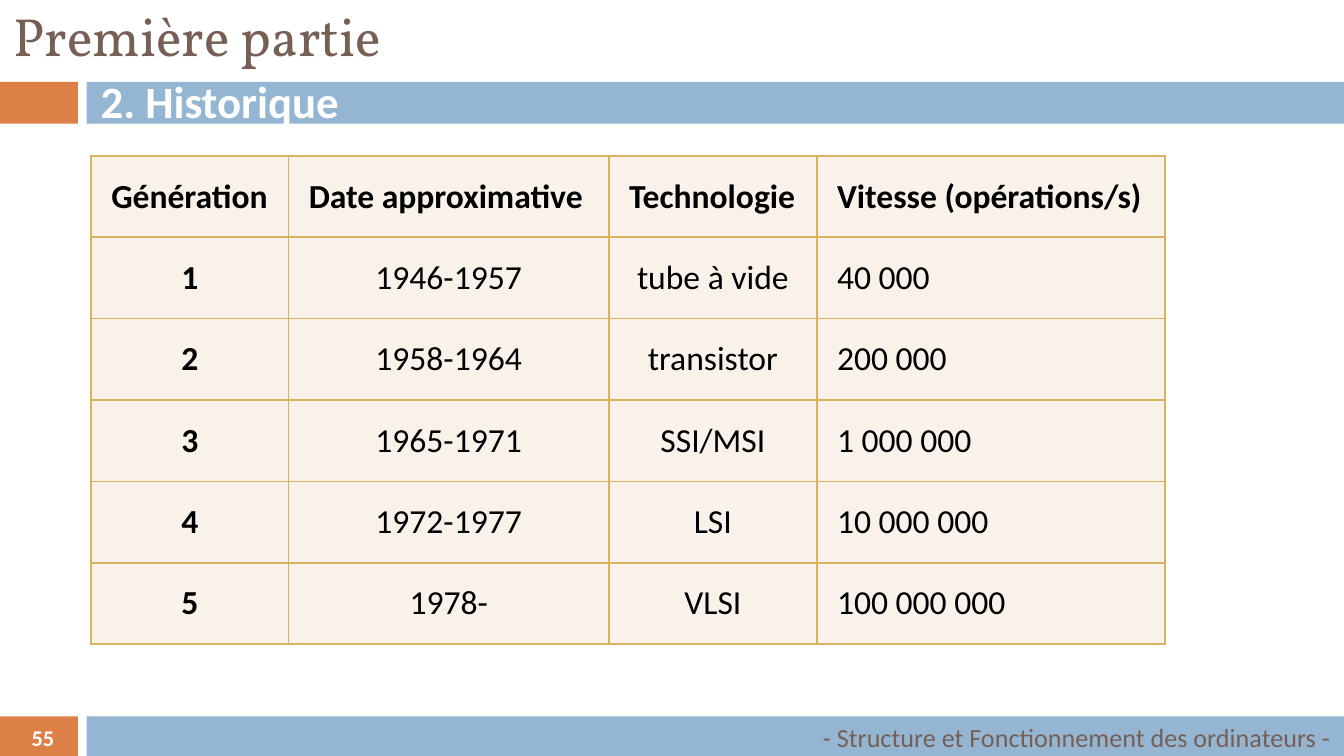
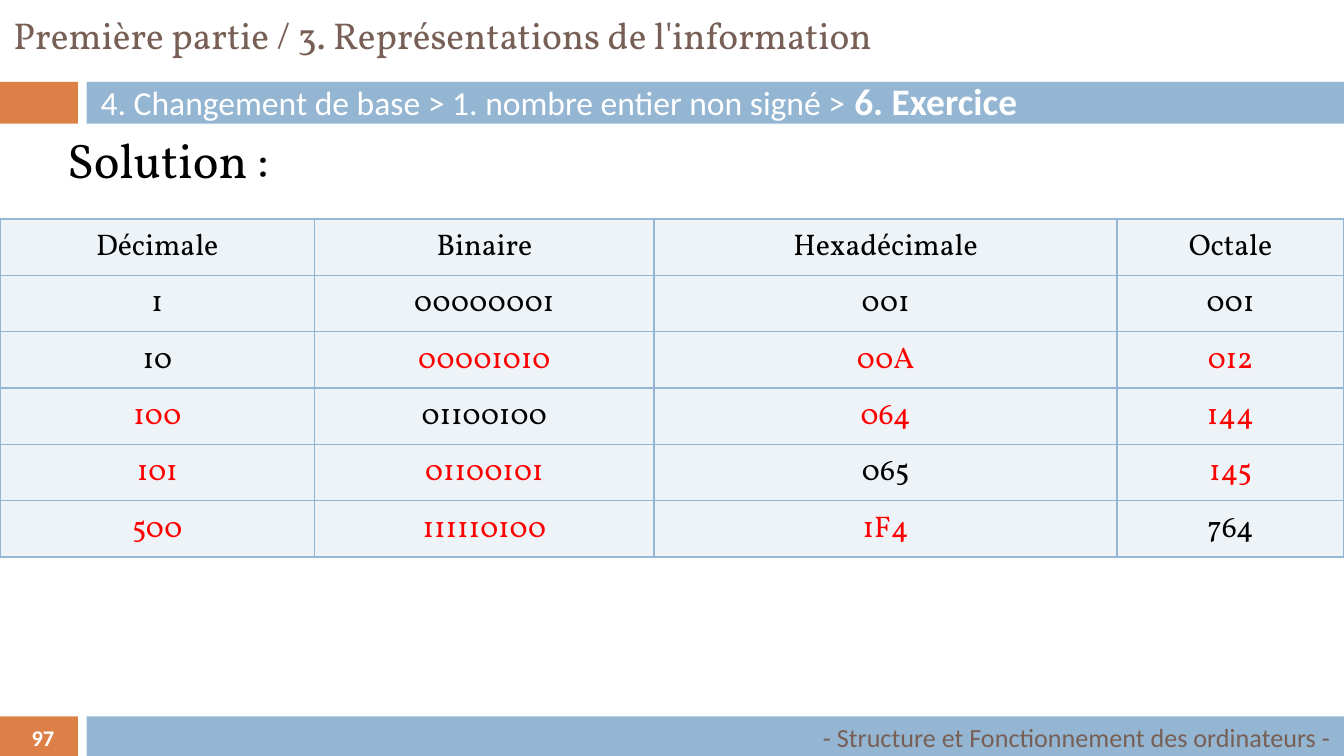
from lxml import etree
from pptx import Presentation
from pptx.dml.color import RGBColor
from pptx.enum import shapes, text
from pptx.oxml import ns
from pptx.util import Pt

COLORS = {"orange": "DD8047", "blue": "94B6D2", "brown": "775F55",
          "white": "FFFFFF", "black": "000000", "red": "FF0000",
          "gold": "D8B25C", "cream": "F8F2EA", "pale": "EEF3F7"}
SANS, SERIF = "Calibri", "Vollkorn"
LEFT, CENTER, RIGHT = text.PP_ALIGN.LEFT, text.PP_ALIGN.CENTER, text.PP_ALIGN.RIGHT
MIDDLE, TOP = text.MSO_ANCHOR.MIDDLE, text.MSO_ANCHOR.TOP

WIDTH, HEIGHT = 720, 405
BAND_TOPS = (43.9, 383.8)
BAND_HEIGHT = 22.4
FOOTER = "- Structure et Fonctionnement des ordinateurs -"

GENERATIONS = [
    ("Génération", "Date approximative", "Technologie", "Vitesse (opérations/s)"),
    ("1", "1946-1957", "tube à vide", "40 000"),
    ("2", "1958-1964", "transistor", "200 000"),
    ("3", "1965-1971", "SSI/MSI", "1 000 000"),
    ("4", "1972-1977", "LSI", "10 000 000"),
    ("5", "1978-", "VLSI", "100 000 000"),
]
CONVERSIONS = [
    ("Décimale", "Binaire", "Hexadécimale", "Octale"),
    ("1", "00000001", "001", "001"),
    ("10", "00001010", "00A", "012"),
    ("100", "01100100", "064", "144"),
    ("101", "01100101", "065", "145"),
    ("500", "111110100", "1F4", "764"),
]


def rgb(name):
    return RGBColor.from_string(COLORS[name])


def write(tf, content, size=18, font=SANS, color="black", bold=False,
          align=LEFT, anchor=MIDDLE):
    """Fill a text frame; content is a string or a list of (string, size, bold)."""
    tf.word_wrap = True
    tf.vertical_anchor = anchor
    p = tf.paragraphs[0]
    p.alignment = align
    runs = [(content, size, bold)] if isinstance(content, str) else content
    for words, run_size, run_bold in runs:
        r = p.add_run()
        r.text = words
        r.font.name, r.font.size, r.font.bold = font, Pt(run_size), run_bold
        r.font.color.rgb = rgb(color)


def add_text(slide, box, content, **style):
    tf = slide.shapes.add_textbox(*map(Pt, box)).text_frame
    write(tf, content, **style)
    return tf


def add_band(slide, left, top, width, color):
    sp = slide.shapes.add_shape(shapes.MSO_SHAPE.RECTANGLE,
                                Pt(left), Pt(top), Pt(width), Pt(BAND_HEIGHT))
    sp.shadow.inherit = False
    sp.fill.solid()
    sp.fill.fore_color.rgb = rgb(color)
    sp.line.fill.background()


def add_slide(prs, number, title, title_size, heading):
    slide = prs.slides.add_slide(prs.slide_layouts[5])
    for top in BAND_TOPS:
        add_band(slide, 0, top, 41.8, "orange")
        add_band(slide, 46.4, top, WIDTH - 46.4, "blue")
    sp = slide.shapes.title
    sp.left, sp.top, sp.width, sp.height = map(Pt, (0, -0.7, WIDTH, 38.9))
    sp.text_frame.auto_size = text.MSO_AUTO_SIZE.NONE
    write(sp.text_frame, title, size=title_size, font=SERIF, color="brown")
    add_text(slide, (46.8, BAND_TOPS[0], 673.2, 20.2), heading, color="white")
    add_text(slide, (2.9, BAND_TOPS[1], 40.3, BAND_HEIGHT), str(number),
             size=12, color="white", bold=True, align=CENTER)
    add_text(slide, (54, BAND_TOPS[1], 666, 21.6), FOOTER,
             size=14, color="brown", align=RIGHT)
    return slide


def set_borders(cell, color):
    tc_pr = cell._tc.get_or_add_tcPr()
    for side in ("lnL", "lnR", "lnT", "lnB"):
        ln = etree.SubElement(tc_pr, ns.qn(f"a:{side}"), w=str(Pt(1)))
        fill = etree.SubElement(ln, ns.qn("a:solidFill"))
        etree.SubElement(fill, ns.qn("a:srgbClr"), val=COLORS[color])


def add_grid(slide, left, top, widths, row_height, rows, margins, border, fill, style):
    """Add a table; style(i, j) gives the text format of the cell at row i, column j."""
    frame = slide.shapes.add_table(len(rows), len(widths), Pt(left), Pt(top),
                                   Pt(sum(widths)), Pt(row_height * len(rows)))
    table = frame.table
    table.first_row = table.horz_banding = False
    for column, width in zip(table.columns, widths):
        column.width = Pt(width)
    for i, row in enumerate(rows):
        table.rows[i].height = Pt(row_height)
        for j, words in enumerate(row):
            cell = table.cell(i, j)
            (cell.margin_left, cell.margin_top,
             cell.margin_right, cell.margin_bottom) = map(Pt, margins)
            cell.vertical_anchor = MIDDLE
            set_borders(cell, border)
            cell.fill.solid()
            cell.fill.fore_color.rgb = rgb(fill)
            write(cell.text_frame, words, **style(i, j))


def generation_style(i, j):
    return {"bold": i == 0 or j == 0,
            "align": LEFT if i == 0 or j == 3 else CENTER}


def conversion_style(i, j):
    """Red marks the answers; from row 2 on, the given value moves one column per row."""
    given = i < 2 or j == i - 2
    return {"size": 16, "font": SERIF, "align": CENTER,
            "color": "black" if given else "red"}


def main():
    prs = Presentation()
    prs.slide_width, prs.slide_height = Pt(WIDTH), Pt(HEIGHT)

    history = add_slide(prs, 55, "Première partie", 28.8, [("2. Historique", 24, True)])
    add_grid(history, 48.8, 83.5, (105.8, 171.6, 111.5, 186.4), 43.6, GENERATIONS,
             (10.8,) * 4, "gold", "cream", generation_style)

    exercise = add_slide(
        prs, 97, "Première partie / 3. Représentations de l'information", 20,
        [("4. Changement de base > 1. nombre entier non signé >", 18, False),
         (" ", 20, False), ("6. Exercice", 20, True)])
    tf = add_text(exercise, (0, 66.2, WIDTH, 317.5), "Solution :",
                  size=26, font=SERIF, anchor=TOP)
    tf.margin_left = Pt(36)
    add_grid(exercise, 0, 117.3, (168.5, 182, 248, 121.5), 30.2, CONVERSIONS,
             (0.7, 0.7, 0.7, 0), "blue", "pale", conversion_style)

    prs.save("out.pptx")


if __name__ == "__main__":
    main()
